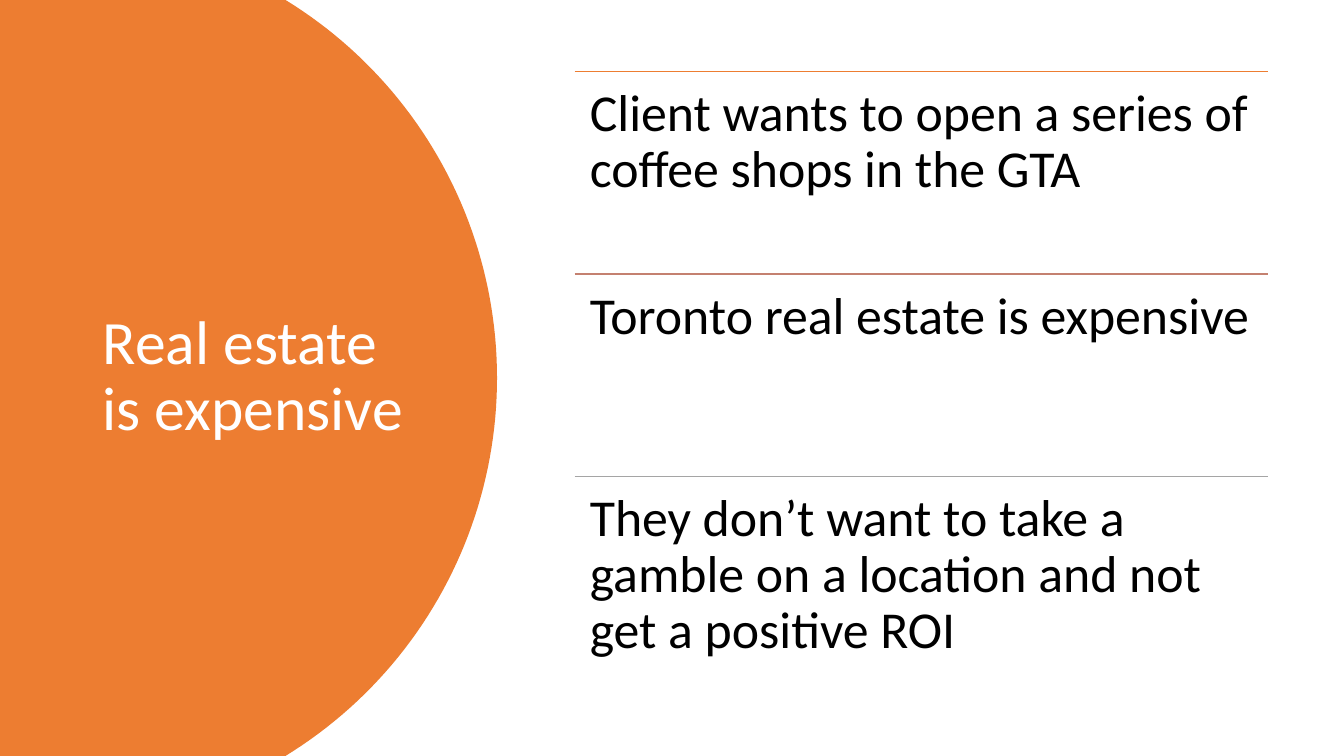
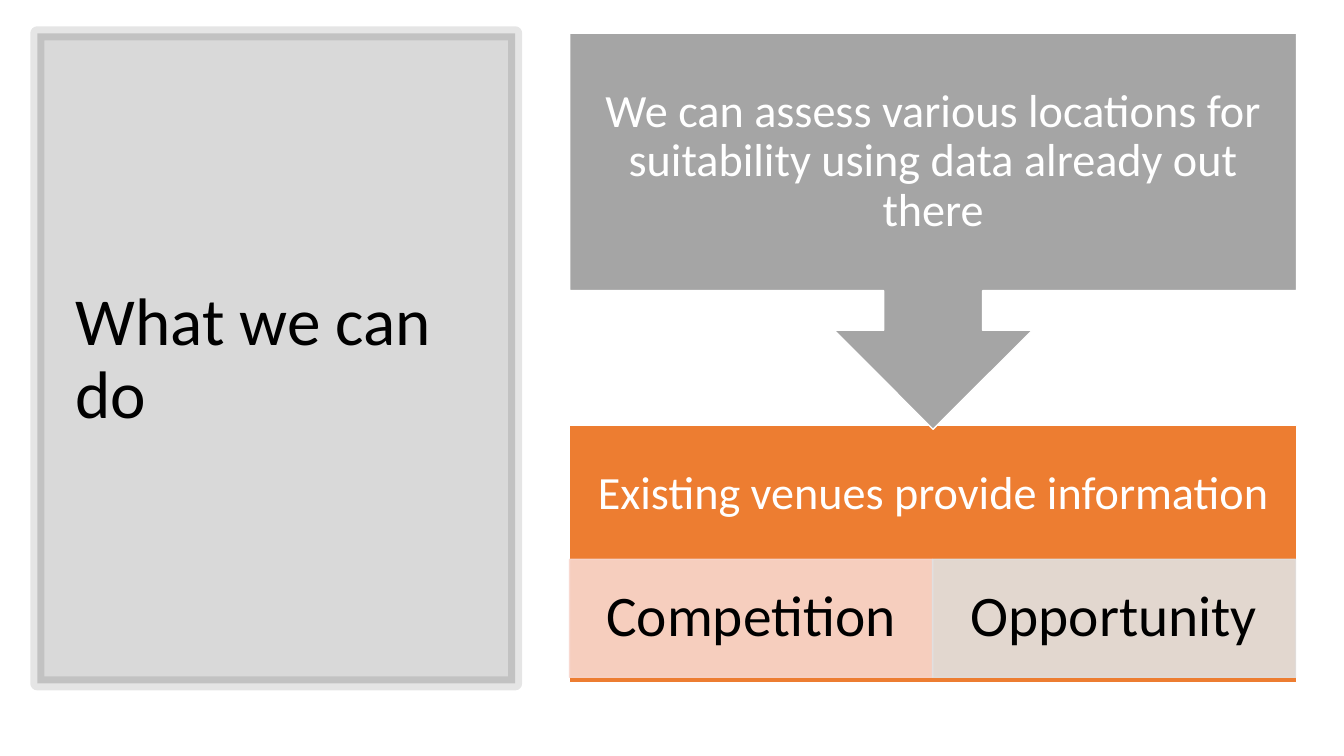
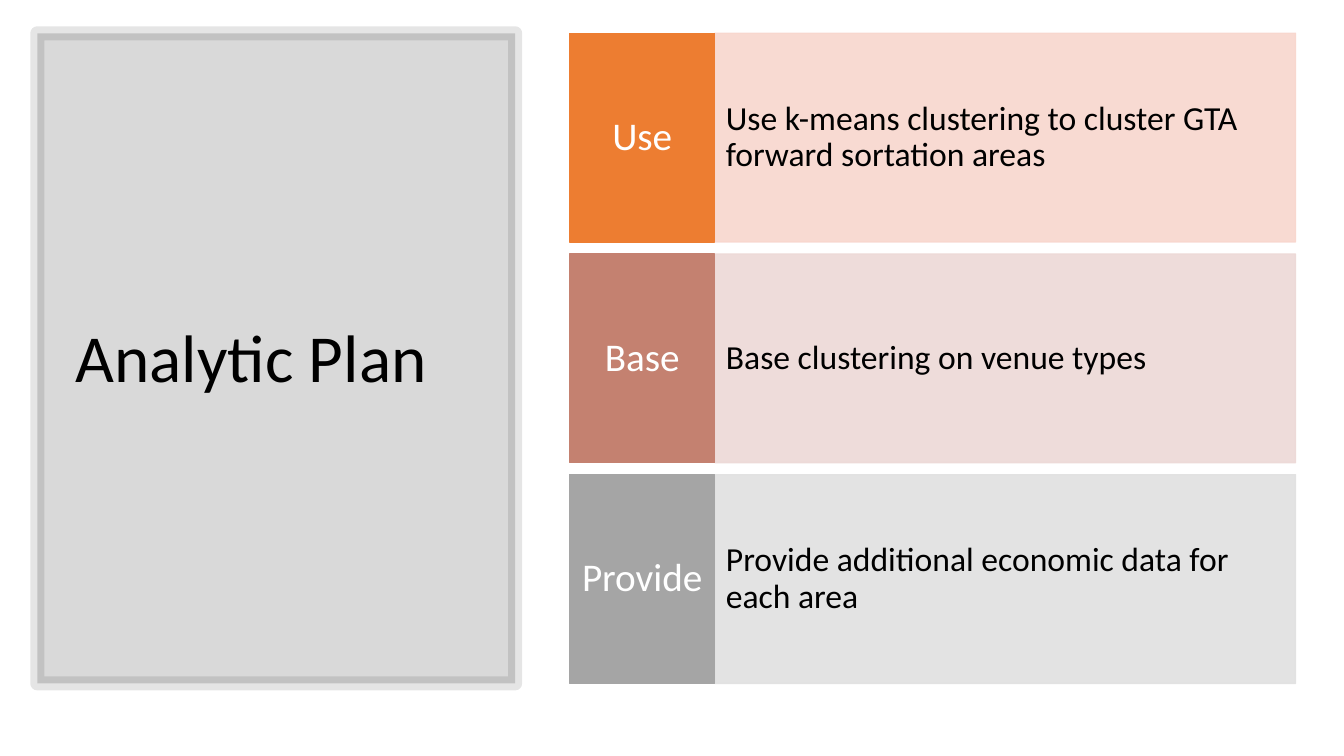
from math import asin, cos, sin
from lxml import etree
from pptx import Presentation, util as u
from pptx.dml.color import RGBColor
from pptx.enum import shapes, text
from pptx.oxml.ns import qn

WHITE = RGBColor(0xFF, 0xFF, 0xFF)
BLACK = RGBColor(0, 0, 0)
ORANGE = RGBColor(0xED, 0x7D, 0x31)
CLAY = RGBColor(0xC4, 0x81, 0x70)
GRAY = RGBColor(0xA5, 0xA5, 0xA5)
PEACH = RGBColor(0xF8, 0xD7, 0xCE)
ROSE = RGBColor(0xED, 0xD9, 0xD7)
SILVER = RGBColor(0xE1, 0xE1, 0xE1)
RECT = shapes.MSO_SHAPE.RECTANGLE
LEFT, CENTER = text.PP_ALIGN.LEFT, text.PP_ALIGN.CENTER
TOP, MIDDLE = text.MSO_ANCHOR.TOP, text.MSO_ANCHOR.MIDDLE


class Deck:
    font = "Calibri"

    def __init__(self):
        self.prs = Presentation()
        self.prs.slide_width = u.Inches(13.33)
        self.prs.slide_height = u.Inches(7.5)
        self.slide = None

    def label(self, shape, words, size, color, align=LEFT, anchor=MIDDLE,
              pad=(0.1, 0.05, 0.1, 0.05)):
        frame = shape.text_frame
        frame.text = words
        frame.word_wrap = True
        frame.auto_size = text.MSO_AUTO_SIZE.NONE
        frame.vertical_anchor = anchor
        (frame.margin_left, frame.margin_top,
         frame.margin_right, frame.margin_bottom) = map(u.Inches, pad)
        for para in frame.paragraphs:
            para.alignment = align
            para.line_spacing = 0.9
            for run in para.runs:
                run.font.name = self.font
                run.font.size = u.Pt(size)
                run.font.color.rgb = color

    def start(self, title, box, size, color):
        self.slide = self.prs.slides.add_slide(self.prs.slide_layouts[5])
        head = self.slide.shapes.title
        head.left, head.top, head.width, head.height = map(u.Inches, box)
        self.label(head, title, size, color)

    def fade(self, paint, alpha):
        for tint in paint.iter(qn("a:srgbClr")):
            etree.SubElement(tint, qn("a:alpha"), val=str(alpha * 1000))

    def block(self, box, fill, line=None, alpha=100, kind=RECT):
        shape = self.slide.shapes.add_shape(kind, *map(u.Inches, box))
        shape.shadow.inherit = False
        shape.fill.solid()
        shape.fill.fore_color.rgb = fill
        shape.line.color.rgb = fill if line is None else line
        shape.line.width = u.Pt(1)
        if alpha < 100:
            self.fade(shape.element.spPr, alpha)
        return shape

    def panel(self, title):
        self.start(title, (0.65, 0.7, 4.16, 5.75), 48, BLACK)
        back = self.block((0.37, 0.33, 4.74, 6.45), BLACK)
        back.line.width = u.Pt(10)
        self.fade(back.element.spPr.find(qn("a:solidFill")), 15)
        self.fade(back.element.spPr.find(qn("a:ln")), 10)
        self.slide.shapes.title.element.addprevious(back.element)

    def disc(self, mid, radius, fill, steps=90):
        half = 3.75
        reach = asin(half / radius)
        turns = [reach * (2 * i / steps - 1) for i in range(steps + 1)]
        arc = [(u.Inches(mid + radius * cos(t)), u.Inches(half + radius * sin(t)))
               for t in turns]
        pen = self.slide.shapes.build_freeform(0, 0)
        pen.add_line_segments(arc + [(0, u.Inches(2 * half))], close=True)
        shape = pen.convert_to_shape()
        shape.shadow.inherit = False
        shape.fill.solid()
        shape.fill.fore_color.rgb = fill
        shape.line.fill.background()
        self.slide.shapes.title.element.addprevious(shape.element)

    def rule(self, left, top, width, color):
        line = self.slide.shapes.add_connector(
            shapes.MSO_CONNECTOR.STRAIGHT,
            *map(u.Inches, (left, top, left + width, top)))
        line.line.color.rgb = color
        line.line.width = u.Pt(1)
        etree.SubElement(line.element.spPr, qn("a:effectLst"))

    def note(self, box, words, size):
        shape = self.slide.shapes.add_textbox(*map(u.Inches, box))
        self.label(shape, words, size, BLACK, anchor=TOP, pad=(0.15,) * 4)


deck = Deck()

deck.start("Real estate is expensive", (0.92, 0.7, 3.23, 6.09), 44, WHITE)
deck.disc(0.53, 4.4, ORANGE)
needs = [
    (ORANGE, "Client wants to open a series of coffee shops in the GTA"),
    (CLAY, "Toronto real estate is expensive"),
    (GRAY, "They don’t want to take a gamble on a location and not get a positive ROI"),
]
for i, (color, words) in enumerate(needs):
    top = 0.71 + i * 2.01
    deck.rule(5.7, top, 6.88, color)
    deck.note((5.7, top, 6.88, 2.01), words, 37)

deck.panel("What we can do")
venues = deck.block((5.65, 4.22, 7.21, 2.55), ORANGE, WHITE)
deck.label(venues, "Existing venues provide information", 33, WHITE, CENTER,
           pad=(0.26, 0.26, 0.26, 1.43))
for i, (fill, words) in enumerate([(PEACH, "Competition"), (SILVER, "Opportunity")]):
    cell = deck.block((5.65 + i * 3.6, 5.55, 3.6, 1.17), fill, alpha=90)
    deck.label(cell, words, 41, BLACK, CENTER, pad=(0.32, 0.06, 0.32, 0.06))
assess = deck.block((5.65, 0.33, 7.21, 3.93), GRAY, WHITE,
                    kind=shapes.MSO_SHAPE.DOWN_ARROW_CALLOUT)
deck.label(assess, "We can assess various locations for suitability using data already out there",
           33, WHITE, CENTER, pad=(0.26,) * 4)

deck.panel("Analytic Plan")
plan = [
    (ORANGE, PEACH, "Use", "Use k-means clustering to cluster GTA forward sortation areas"),
    (CLAY, ROSE, "Base", "Base clustering on venue types"),
    (GRAY, SILVER, "Provide", "Provide additional economic data for each area"),
]
for i, (dark, light, verb, words) in enumerate(plan):
    top = 0.33 + i * 2.19
    step = deck.block((7.09, top, 5.76, 2.07), light, alpha=90)
    deck.label(step, words, 24, BLACK, pad=(0.11, 0.52, 0.11, 0.52))
    badge = deck.block((5.65, top, 1.44, 2.07), dark)
    deck.label(badge, verb, 28, WHITE, CENTER, pad=(0.08, 0.2, 0.08, 0.2))

deck.prs.save("out.pptx")
